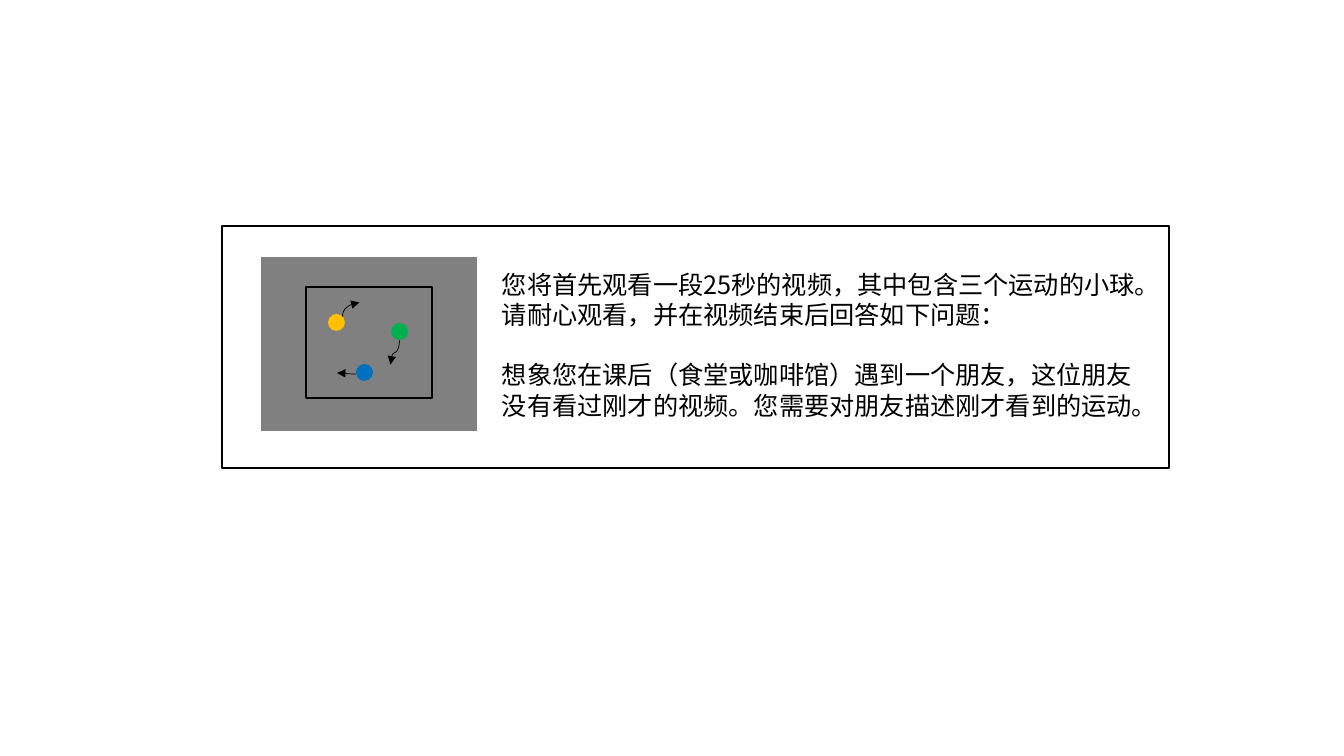
"""Build the slide that briefs viewers on the moving-ball video."""
from pptx import Presentation, util as u
from pptx.dml.color import RGBColor
from pptx.enum import shapes, text
from pptx.oxml import parse_xml
from pptx.oxml.ns import nsdecls, qn

HUES = {"ink": "000000", "grey": "808080", "gold": "FFC000",
        "blue": "0070C0", "green": "00B050"}
FONT = "Noto Sans CJK SC"
LINES = [
    ("您将首先观看一段25秒的视频，其中包含三个运动的小球。", 0),
    ("请耐心观看，并在视频结束后回答如下问题：", 0),
    ("想象您在课后（食堂或咖啡馆）遇到一个朋友，这位朋友没有看过刚才的视频。"
     "您需要对朋友描述刚才看到的运动。", 21.6),
]
SCREEN = (261, 257, 216, 174)
ARENA = (306, 287, 126, 111)
FRAME = (222, 226, 947, 242)
WORDS = (492, 264, 659, 163)
BALL = 17
BALLS = [("gold", 328, 314), ("blue", 356, 364), ("green", 391, 323)]
PATHS = [
    ((383, 348), (407, 357), 90, "curvedConnector3"),
    ((337, 373), (356, 374), 180, "curvedConnector3"),
    ((358, 318), (344, 301), 90, "curvedConnector2"),
]


def px(*nums):
    return [round(n * 914400 / 100.8) for n in nums]


def hue(name):
    return RGBColor.from_string(HUES[name])


def draw(kind, box, fill=None, line=None):
    shape = slide.shapes.add_shape(kind, *px(*box))
    shape.shadow.inherit = False
    if fill:
        shape.fill.solid()
        shape.fill.fore_color.rgb = hue(fill)
    else:
        shape.fill.background()
    if line:
        shape.line.color.rgb = hue(line)
        shape.line.width = u.Pt(1)
    else:
        shape.line.fill.background()
    return shape


def curve(start, end, turn, form):
    link = slide.shapes.add_connector(
        shapes.MSO_CONNECTOR.CURVE, *px(*start), *px(*end))
    link.line.color.rgb = hue("ink")
    link.line.width = u.Pt(0.5)
    props = link._element.spPr
    props.find(qn("a:xfrm")).set("rot", str(turn * 60000))
    props.find(qn("a:prstGeom")).set("prst", form)
    props.find(qn("a:ln")).append(
        parse_xml(f'<a:tailEnd {nsdecls("a")} type="triangle"/>'))
    props.append(parse_xml(f'<a:effectLst {nsdecls("a")}/>'))


def write(box, lines, size=18, color="ink", font=FONT):
    area = slide.shapes.add_textbox(*px(*box)).text_frame
    area.word_wrap = True
    area.auto_size = text.MSO_AUTO_SIZE.SHAPE_TO_FIT_TEXT
    for i, (words, gap) in enumerate(lines):
        para = area.add_paragraph() if i else area.paragraphs[0]
        if gap:
            para.space_before = u.Pt(gap)
        run = para.add_run()
        run.text = words
        run.font.size = u.Pt(size)
        run.font.color.rgb = hue(color)
        run.font.name = font
        run.font._element.append(
            parse_xml(f'<a:ea {nsdecls("a")} typeface="{font}"/>'))


deck = Presentation()
deck.slide_width, deck.slide_height = px(1344, 756)
slide = deck.slides.add_slide(deck.slide_layouts[6])
SHAPE = shapes.MSO_SHAPE

draw(SHAPE.RECTANGLE, SCREEN, fill="grey")
draw(SHAPE.RECTANGLE, ARENA, line="ink")
for name, left, top in BALLS:
    draw(SHAPE.OVAL, (left, top, BALL, BALL), fill=name)
for route in PATHS:
    curve(*route)
write(WORDS, LINES)
frame = draw(SHAPE.ROUNDED_RECTANGLE, FRAME, line="ink")
frame.adjustments[0] = 0

deck.save("out.pptx")
